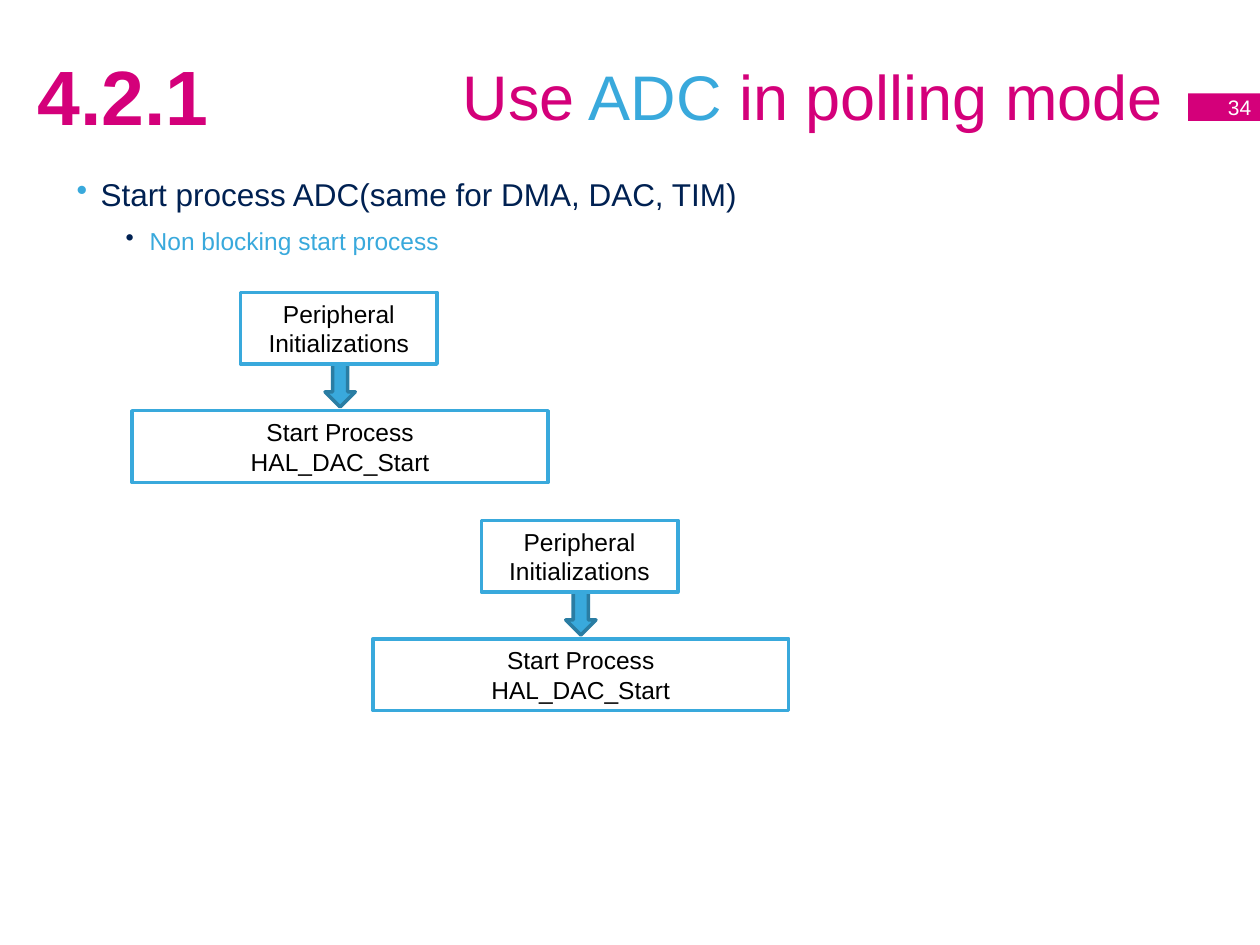
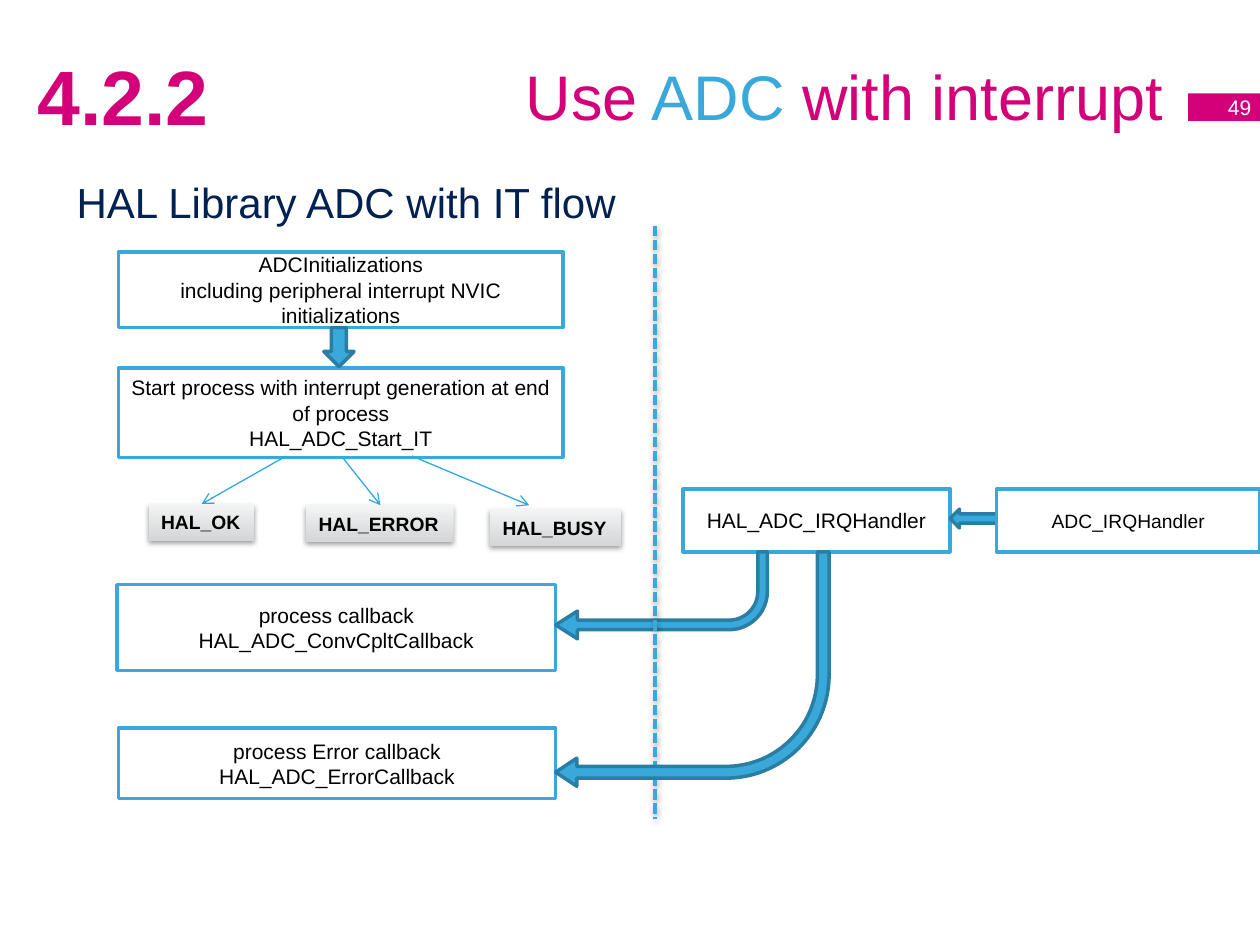
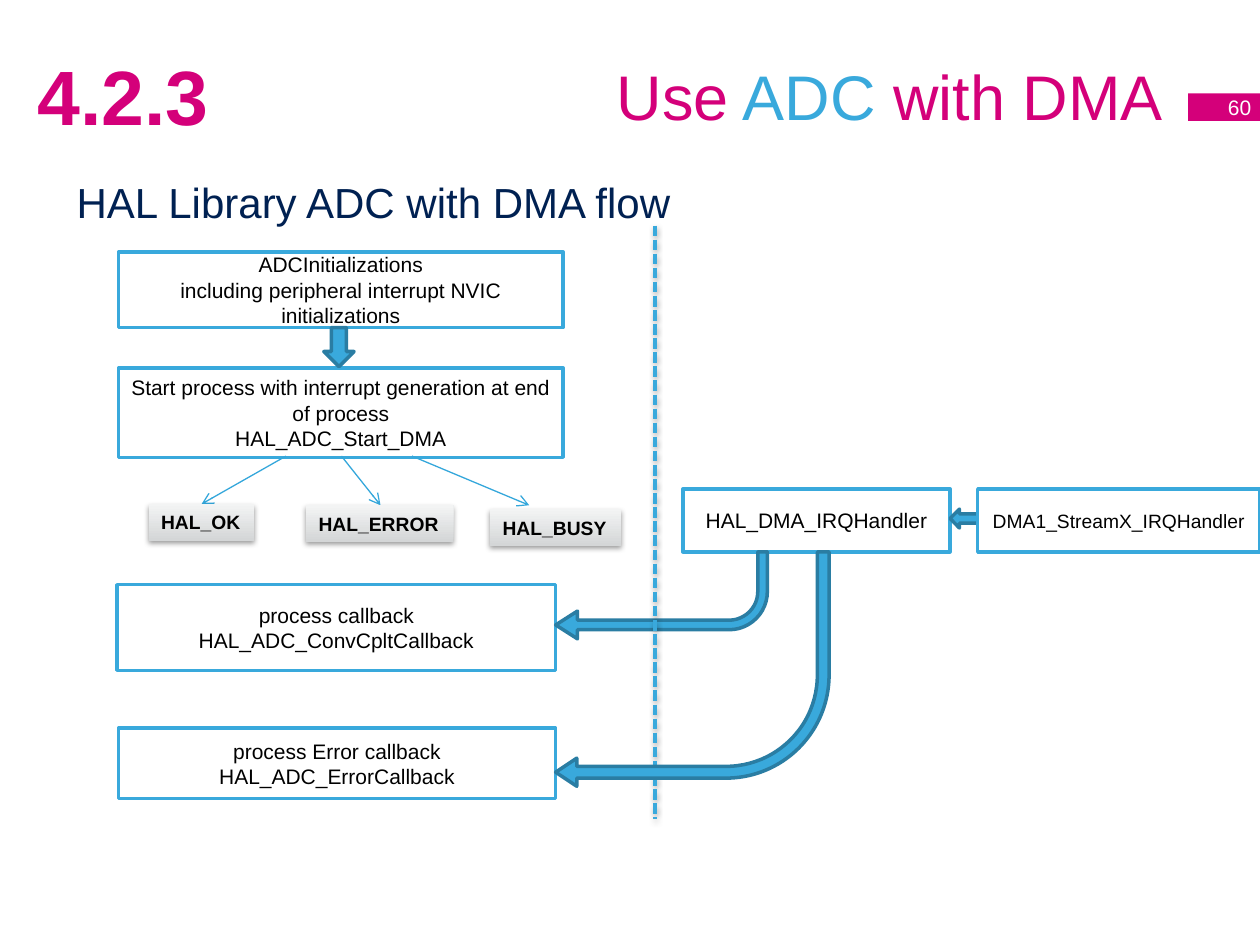
from dataclasses import dataclass

from pptx import Presentation
from pptx.dml.color import RGBColor
from pptx.enum.dml import MSO_LINE
from pptx.enum.shapes import MSO_CONNECTOR, MSO_SHAPE
from pptx.enum.text import MSO_ANCHOR, MSO_AUTO_SIZE, PP_ALIGN
from pptx.oxml.ns import qn
from pptx.oxml.xmlchemy import OxmlElement
from pptx.util import Inches, Pt


@dataclass(frozen=True)
class Theme:
    """Colours, type sizes and line widths of the deck."""
    font: str = "Arial"
    pink: str = "D4007A"
    blue: str = "39A9DC"
    dark_blue: str = "2A7DA3"
    thin_blue: str = "34A7DB"
    navy: str = "002152"
    white: str = "FFFFFF"
    black: str = "000000"
    chip_bottom: str = "D4D6D7"
    chip_top: str = "F3F4F4"
    section_size: int = 44
    title_size: int = 36
    heading_size: int = 24
    bullet_size: int = 18
    label_size: int = 14
    flow_size: int = 12
    chip_size: int = 11
    outline: float = 2
    thin_line: float = 0.75


@dataclass(frozen=True)
class Box:
    """A rectangle in grid columns and rows."""
    left: float
    top: float
    width: float
    height: float

    def inside(self, left, top, width, height):
        """Return a box placed relative to this one."""
        return Box(self.left + left, self.top + top, width, height)

    def point(self, column, row):
        """Return a grid point placed relative to this box."""
        return self.left + column, self.top + row

    def lengths(self):
        """Return left, top, width and height as slide lengths."""
        return [cells(n) for n in (self.left, self.top, self.width, self.height)]


THEME = Theme()
COLUMNS, ROWS = 100, 75
CELL = Inches(10) // COLUMNS


def cells(count):
    """Convert a number of grid cells to a slide length."""
    return round(count * CELL)


def colour(value):
    """Convert a hexadecimal string to a colour."""
    return RGBColor.from_string(value)


def add_run(paragraph, text, size, text_colour, bold=False):
    """Add one formatted run to a paragraph."""
    run = paragraph.add_run()
    run.text = text
    run.font.name = THEME.font
    run.font.size = Pt(size)
    run.font.bold = bold
    run.font.color.rgb = colour(text_colour)


def set_bullet(paragraph, indent, bullet_colour):
    """Give a paragraph a hanging round bullet."""
    properties = paragraph._p.get_or_add_pPr()
    properties.set("marL", str(Inches(indent)))
    properties.set("indent", str(-Inches(0.19)))
    tint = OxmlElement("a:buClr")
    value = OxmlElement("a:srgbClr")
    value.set("val", bullet_colour)
    tint.append(value)
    character = OxmlElement("a:buChar")
    character.set("char", "•")
    properties.extend([tint, character])


def set_effects(shape, shadowed=False):
    """Replace the inherited effects by none or by a soft shadow below."""
    properties = shape._element.spPr
    effects = properties.find(qn("a:effectLst"))
    if effects is None:
        effects = OxmlElement("a:effectLst")
        properties.append(effects)
    if shadowed:
        shadow = OxmlElement("a:outerShdw")
        for name, value in (("blurRad", Pt(3.1)), ("dist", Pt(1.6)),
                            ("dir", 5400000), ("rotWithShape", 0)):
            shadow.set(name, str(int(value)))
        tint = OxmlElement("a:srgbClr")
        tint.set("val", THEME.black)
        alpha = OxmlElement("a:alpha")
        alpha.set("val", "38000")
        tint.append(alpha)
        shadow.append(tint)
        effects.append(shadow)


def add_preset(slide, kind, box, fill, line=None):
    """Add a flat preset shape with an optional outline."""
    shape = slide.shapes.add_shape(kind, *box.lengths())
    shape.shadow.inherit = False
    shape.fill.solid()
    shape.fill.fore_color.rgb = colour(fill)
    if line:
        shape.line.color.rgb = colour(line)
        shape.line.width = Pt(THEME.outline)
    else:
        shape.line.fill.background()
    return shape


def set_lines(shape, lines, size, text_colour, alignment=PP_ALIGN.CENTER, bold=False):
    """Fill a shape with one paragraph for each line."""
    frame = shape.text_frame
    frame.vertical_anchor = MSO_ANCHOR.MIDDLE
    for index, line in enumerate(lines):
        paragraph = frame.add_paragraph() if index else frame.paragraphs[0]
        paragraph.alignment = alignment
        add_run(paragraph, line, size, text_colour, bold)


def add_step(slide, box, lines, size=THEME.flow_size):
    """Add a white step of a flow with a blue outline."""
    step = add_preset(slide, MSO_SHAPE.RECTANGLE, box, THEME.white, THEME.blue)
    step.text_frame.word_wrap = True
    set_lines(step, lines, size, THEME.black)


def add_arrow(slide, kind, box):
    """Add a blue block arrow."""
    return add_preset(slide, kind, box, THEME.blue, THEME.dark_blue)


def add_bent_arrow(slide, box, adjustments):
    """Add an arrow that runs down from its right end and turns left."""
    arrow = add_arrow(slide, MSO_SHAPE.BENT_ARROW, box)
    arrow.rotation = 180
    for index, value in enumerate(adjustments):
        arrow.adjustments[index] = value


def add_line(slide, start, end, line_colour, width):
    """Add a straight connector between two grid points."""
    ends = [cells(n) for n in (*start, *end)]
    connector = slide.shapes.add_connector(MSO_CONNECTOR.STRAIGHT, *ends)
    connector.line.color.rgb = colour(line_colour)
    connector.line.width = Pt(width)
    return connector


def add_thin_arrow(slide, start, end):
    """Add a thin line with an open arrowhead."""
    connector = add_line(slide, start, end, THEME.thin_blue, THEME.thin_line)
    head = OxmlElement("a:tailEnd")
    head.set("type", "arrow")
    connector.line._get_or_add_ln().append(head)
    set_effects(connector)


def add_chip(slide, box, text):
    """Add a grey shaded chip for a return value."""
    chip = add_preset(slide, MSO_SHAPE.RECTANGLE, box, THEME.chip_top)
    chip.fill.gradient()
    chip.fill.gradient_angle = 90
    for stop, tint in zip(chip.fill.gradient_stops, (THEME.chip_bottom, THEME.chip_top)):
        stop.color.rgb = colour(tint)
    set_effects(chip, shadowed=True)
    chip.text_frame.word_wrap = False
    set_lines(chip, [text], THEME.chip_size, THEME.black, PP_ALIGN.LEFT, bold=True)


def add_text_box(slide, box):
    """Add a wrapping text box and return it."""
    shape = slide.shapes.add_textbox(*box.lengths())
    shape.text_frame.word_wrap = True
    return shape


def header(slide, box, section, topic, page):
    """Place the title, section number and page tag."""
    title = slide.shapes.title
    title.left, title.top, title.width, title.height = box.inside(5, 0, 88.3, 12.5).lengths()
    title.text_frame.auto_size = MSO_AUTO_SIZE.NONE
    title.text_frame.vertical_anchor = MSO_ANCHOR.MIDDLE
    paragraph = title.text_frame.paragraphs[0]
    paragraph.alignment = PP_ALIGN.RIGHT
    for text, tint in (("Use", THEME.pink), (" ADC ", THEME.blue), (topic, THEME.pink)):
        add_run(paragraph, text, THEME.title_size, tint)

    tag = add_preset(slide, MSO_SHAPE.RECTANGLE, box.inside(94.3, 6.1, 6, 2.2), THEME.pink)
    tag.text_frame.word_wrap = False
    set_lines(tag, [page], THEME.flow_size, THEME.white, PP_ALIGN.RIGHT)

    number = add_text_box(slide, box.inside(2, 0, 18.9, 12.5))
    set_lines(number, [section], THEME.section_size, THEME.pink, PP_ALIGN.LEFT, bold=True)


def body_text(slide, box, items):
    """Place body paragraphs of text, size, colour, indent and bullet colour."""
    frame = add_text_box(slide, box).text_frame
    for index, (text, size, tint, indent, bullet) in enumerate(items):
        paragraph = frame.add_paragraph() if index else frame.paragraphs[0]
        paragraph.space_after = Pt(6)
        paragraph.line_spacing = 1.1
        if bullet:
            set_bullet(paragraph, indent, bullet)
        add_run(paragraph, text, size, tint)


def start_pair(slide, box):
    """Place an initialization step above the start step."""
    add_arrow(slide, MSO_SHAPE.DOWN_ARROW, box.inside(box.width / 2 - 1.2, 5.7, 2.4, 3.4))
    add_step(slide, box.inside(8.6, 0, 15.6, 5.7), ["Peripheral Initializations"],
             THEME.label_size)
    add_step(slide, box.inside(0, 9.4, box.width, 5.7),
             ["Start Process", "HAL_DAC_Start"], THEME.label_size)


def start_region(slide, box, start_function):
    """Place initialization, start and the three return values."""
    add_step(slide, box.inside(0, 9.2, box.width, 7.1),
             ["Start process with interrupt generation at end of process", start_function])
    add_step(slide, box.inside(0, 0, box.width, 6),
             ["ADCInitializations", "including peripheral interrupt NVIC initializations"])
    add_arrow(slide, MSO_SHAPE.DOWN_ARROW, box.inside(16.3, 6, 2.4, 3.1))
    for text, left, top, width, start, end in (
            ("HAL_OK", 2.4, 20, 8.4, 13.3, 6.6),
            ("HAL_ERROR", 14.9, 20.1, 11.7, 17.7, 20.8),
            ("HAL_BUSY", 29.5, 20.4, 10.4, 23.3, 32.6)):
        add_thin_arrow(slide, box.point(start, 16.2), box.point(end, min(top, 20.1)))
        add_chip(slide, box.inside(left, top, width, 2.9), text)


def callback_region(slide, box):
    """Place the two callback steps."""
    add_step(slide, box.inside(0, 0, box.width, 6.8),
             ["process callback", "HAL_ADC_ConvCpltCallback"])
    add_step(slide, box.inside(0.1, 11.4, box.width - 0.1, 5.6),
             ["process Error callback", "HAL_ADC_ErrorCallback"])


def handler_region(slide, box, handler, vector, vector_width):
    """Place the interrupt vector, flush right, leading to its handler."""
    add_step(slide, box.inside(0, 0, 21.2, box.height), [handler])
    add_arrow(slide, MSO_SHAPE.LEFT_ARROW, box.inside(21.2, 1.6, 7.3, 1.5))
    add_step(slide, box.inside(box.width - vector_width, 0, vector_width, box.height),
             [vector], THEME.chip_size)


def return_arrows(slide, box):
    """Place the arrows to the callbacks and the dashed divider they cross."""
    add_bent_arrow(slide, box.inside(0, 0, 16.8, 6.9), (0.11, 0.16, 0.25, 0.44))
    divider = add_line(slide, box.point(7.9, -25.9), box.point(7.9, 21.2),
                       THEME.blue, THEME.outline)
    divider.line.dash_style = MSO_LINE.SQUARE_DOT
    set_effects(divider, shadowed=True)
    add_bent_arrow(slide, box, (0.05, 0.06, 0.09, 0.44))


def new_slide(presentation, section, topic, page):
    """Add a slide with the shared header."""
    slide = presentation.slides.add_slide(presentation.slide_layouts[5])
    header(slide, Box(0, 1.3, COLUMNS, 12.5), section, topic, page)
    return slide


def polling_slide(presentation):
    """Build the slide on the non blocking start."""
    slide = new_slide(presentation, "4.2.1", "in polling mode", "34")
    body_text(slide, Box(5.1, 13.1, 90, 7.2), (
        ("Start process ADC(same for DMA, DAC, TIM)", THEME.bullet_size, THEME.navy,
         0.19, THEME.blue),
        ("Non blocking start process", THEME.label_size, THEME.blue, 0.58, THEME.navy)))
    for left, top in ((29.6, 41.3), (10.5, 23.2)):
        start_pair(slide, Box(left, top, 33, 15.1))


def flow_slide(presentation, section, topic, page, mode, handler, vector, vector_width):
    """Build a slide on the flow of one transfer mode."""
    slide = new_slide(presentation, section, topic, page)
    body_text(slide, Box(5.1, 13.1, 90, 14), (
        (f"HAL Library ADC with {mode} flow", THEME.heading_size, THEME.navy, 0, None),))
    start_region(slide, Box(9.4, 20, 35.3, 23.3), f"HAL_ADC_Start_{mode}")
    callback_region(slide, Box(9.3, 46.4, 34.8, 17))
    handler_region(slide, Box(54.2, 38.8, 45.8, 5), handler, vector, vector_width)
    return_arrows(slide, Box(44.1, 43.8, 21.7, 18.6))


def main():
    """Build the deck and save it."""
    presentation = Presentation()
    presentation.slide_width = cells(COLUMNS)
    presentation.slide_height = cells(ROWS)
    polling_slide(presentation)
    flow_slide(presentation, "4.2.2", "with interrupt", "49", "IT",
               "HAL_ADC_IRQHandler", "ADC_IRQHandler", 20.9)
    flow_slide(presentation, "4.2.3", "with DMA", "60", "DMA",
               "HAL_DMA_IRQHandler", "DMA1_StreamX_IRQHandler", 22.4)
    presentation.save("out.pptx")


if __name__ == "__main__":
    main()
